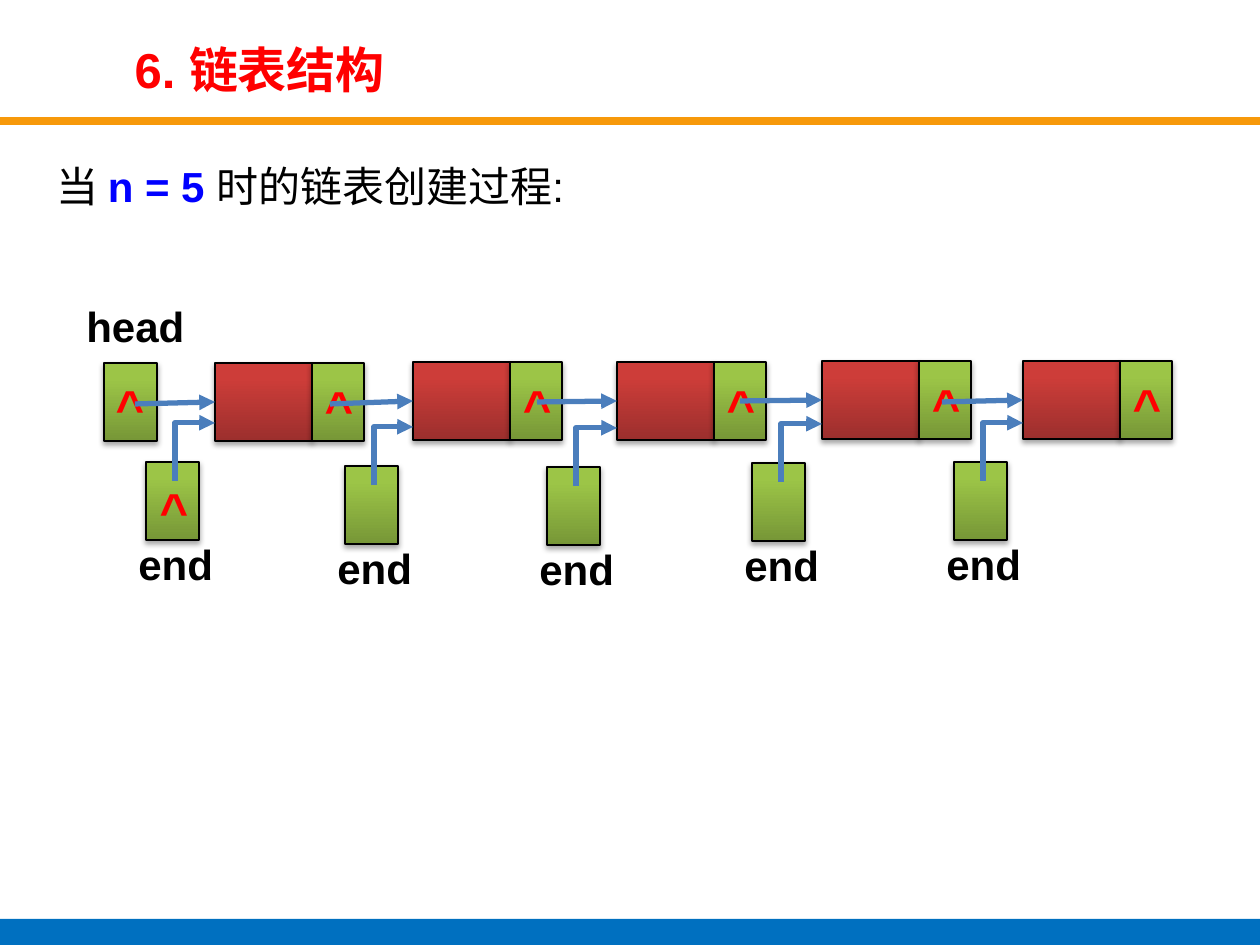
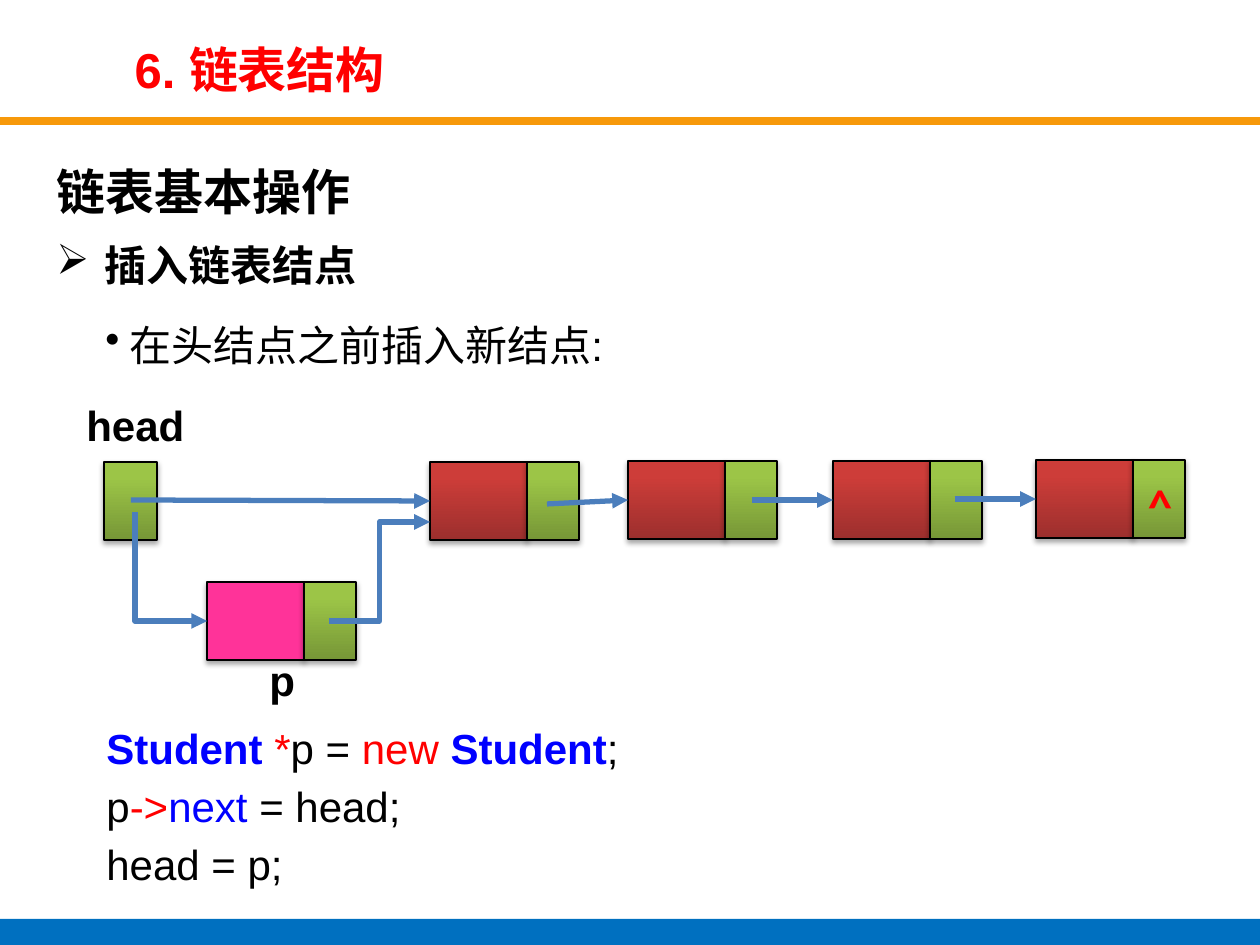
from dataclasses import dataclass

from lxml import etree
from pptx import Presentation
from pptx.dml.color import RGBColor
from pptx.enum.shapes import MSO_CONNECTOR, MSO_SHAPE
from pptx.enum.text import MSO_ANCHOR, MSO_AUTO_SIZE, PP_ALIGN
from pptx.oxml.ns import qn
from pptx.util import Inches, Pt

RECTANGLE = MSO_SHAPE.RECTANGLE
STRAIGHT, ELBOW = MSO_CONNECTOR.STRAIGHT, MSO_CONNECTOR.ELBOW
LEFT, CENTER, JUSTIFY = PP_ALIGN.LEFT, PP_ALIGN.CENTER, PP_ALIGN.JUSTIFY
MIDDLE = MSO_ANCHOR.MIDDLE
FIT_SHAPE = MSO_AUTO_SIZE.SHAPE_TO_FIT_TEXT
LEFT_SIDE = 1
PX = 7257  # EMU in one px, 126 px to the inch


@dataclass(frozen=True)
class Theme:
    font: str = "Arial"
    caret_font: str = "Calibri"
    heading: int = 28
    body: int = 24
    black: RGBColor = RGBColor(0, 0, 0)
    red: RGBColor = RGBColor(255, 0, 0)
    blue: RGBColor = RGBColor(0, 0, 255)
    arrow: RGBColor = RGBColor(0x4B, 0x7E, 0xBC)
    rule: RGBColor = RGBColor(0xF7, 0x99, 0x0A)
    footer: RGBColor = RGBColor(0, 0x70, 0xC0)
    # Cell fills run from the bottom colour to the top colour.
    link: tuple = (RGBColor(0x77, 0x97, 0x37), RGBColor(0x9C, 0xC5, 0x47))
    data: tuple = (RGBColor(0x9C, 0x2F, 0x2D), RGBColor(0xCD, 0x3D, 0x39))
    new_data: tuple = (RGBColor(0xFF, 0x33, 0x99),)


theme = Theme()
DATA_WIDTH, LINK_WIDTH, POINTER_WIDTH, CELL_HEIGHT = 97, 52, 53, 78


def add_cell(page, left, top, width, colors):
    """Draw one shadowed memory cell, with a gradient if two colours are given."""
    cell = page.shapes.add_shape(
        RECTANGLE, left * PX, top * PX, width * PX, CELL_HEIGHT * PX)
    if len(colors) == 2:
        cell.fill.gradient()
        cell.fill.gradient_angle = 90
        for stop, color, position in zip(cell.fill.gradient_stops, colors, (0, 0.8)):
            stop.color.rgb = color
            stop.position = position
    else:
        cell.fill.solid()
        cell.fill.fore_color.rgb = colors[0]
    cell.line.color.rgb = theme.black
    cell.line.width = Pt(1.5)
    cell.shadow.inherit = False
    effects = cell.element.spPr.find(qn("a:effectLst"))
    shadow = etree.SubElement(
        effects, qn("a:outerShdw"), blurRad="40000", dist="23000",
        dir="5400000", rotWithShape="0")
    shade = etree.SubElement(shadow, qn("a:srgbClr"), val=str(theme.black))
    etree.SubElement(shade, qn("a:alpha"), val="35000")
    return cell


def add_node(page, left, top, colors=theme.data):
    """Draw a list node and return its data cell."""
    data_cell = add_cell(page, left, top, DATA_WIDTH, colors)
    add_cell(page, left + DATA_WIDTH, top, LINK_WIDTH, theme.link)
    return data_cell


deck = Presentation()
deck.slide_width, deck.slide_height = Inches(10), Inches(7.5)
layout = deck.slide_layouts[5]
create_page, insert_page = [deck.slides.add_slide(layout) for _ in range(2)]

# Bands go to the layout, behind everything on both pages
for top, height, color in ((117, 8, theme.rule), (919, 26, theme.footer)):
    band = create_page.shapes.add_shape(RECTANGLE, 0, top * PX, deck.slide_width, height * PX)
    band.fill.solid()
    band.fill.fore_color.rgb = color
    band.line.fill.background()
    band.shadow.inherit = False
    layout.shapes.element.insert(2, band.element)

for page in (create_page, insert_page):
    title = page.shapes.title
    title.left, title.top, title.width, title.height = 122 * PX, 34 * PX, 864 * PX, 69 * PX
    title.text_frame.text = "6. 链表结构"
    title.text_frame.vertical_anchor = MIDDLE
    para = title.text_frame.paragraphs[0]
    para.alignment = LEFT
    para.font.name, para.font.size, para.font.bold = theme.font, Pt(theme.heading), True
    para.font.color.rgb = theme.red

# Passages: style is size, alignment, line spacing, before, after, margin, indent, bullet
heading = (theme.heading, JUSTIFY, 1.2, 5, 0, 0, 0, None)
plain = (theme.body, JUSTIFY, 1.2, 5, 0, 0, 0, None)
topic = (theme.body, JUSTIFY, 1.2, 5, 6, 48, -48, "➢")
point = (theme.body, JUSTIFY, 1.2, 5, 0, 73, -24, "•")
code = (theme.body, JUSTIFY, 1.05, 3, 0, 0, 0, None)
passages = [
    (create_page, 44, 144, 80, [
        (plain, [("当 ", theme.black, False), ("n = 5 ", theme.blue, True),
                 ("时的链表创建过程:", theme.black, False)]),
    ]),
    (insert_page, 44, 144, 240, [
        (heading, [("链表基本操作", theme.black, True)]),
        (topic, [("插入链表结点", theme.black, True)]),
        (point, [("在头结点之前插入新结点:", theme.black, False)]),
    ]),
    (insert_page, 94, 714, 180, [
        (code, [("Student ", theme.blue, True), ("*", theme.red, False),
                ("p = ", theme.black, False), ("new ", theme.red, False),
                ("Student", theme.blue, True), (";", theme.black, False)]),
        (code, [("p", theme.black, False), ("->", theme.red, False),
                ("next", theme.blue, False), (" = head;", theme.black, False)]),
        (code, [("head = p;", theme.black, False)]),
    ]),
]
for page, left, top, height, paragraphs in passages:
    box = page.shapes.add_textbox(left * PX, top * PX, (1214 - left) * PX, height * PX)
    frame = box.text_frame
    frame.word_wrap = True
    for index, (style, spans) in enumerate(paragraphs):
        size, alignment, spacing, before, after, margin, indent, bullet = style
        para = frame.add_paragraph() if index else frame.paragraphs[0]
        para.alignment, para.line_spacing = alignment, spacing
        para.space_before, para.space_after = Pt(before if index else 0), Pt(after)
        if bullet:
            properties = para._p.get_or_add_pPr()
            properties.set("marL", str(margin * PX))
            properties.set("indent", str(indent * PX))
            etree.SubElement(properties, qn("a:buChar"), char=bullet)
        para.font.name, para.font.size = theme.font, Pt(size)
        for text, color, bold in spans:
            span = para.add_run()
            span.text = text
            font = para.font if len(spans) == 1 else span.font
            font.bold = bold
            font.color.rgb = color

# Cells, with the labels and arrows that belong to them
word = (theme.font, theme.body, theme.black, LEFT)
caret = (theme.font, theme.heading, theme.red, CENTER)
small_caret = (theme.caret_font, theme.heading, theme.red, CENTER)
labels = []  # page, text, left, top, width, style
links = []   # page, start, data cell pointed to
bends = []   # page, preset, rotation, start, end

head_left = 104
chains = [
    # page, head top, arrow starts, nodes
    (create_page, 363, [(135, 404), (330, 404), (537, 402), (740, 401), (942, 402)],
     [(215, 363), (413, 362), (617, 362), (822, 361), (1023, 361)]),
    (insert_page, 462, [(131, 500), (547, 504), (752, 500), (955, 499)],
     [(430, 462), (628, 461), (833, 461), (1036, 460)]),
]
for page, head_top, starts, nodes in chains:
    add_cell(page, head_left, head_top, POINTER_WIDTH, theme.link)
    labels.append((page, "head", 74, head_top - 69, 125, word))
    for start, (left, top) in zip(starts, nodes):
        links.append((page, start, add_node(page, left, top)))

# Creating: every link starts out null, and "end" moves along the nodes
create_nodes = chains[0][3]
labels.append((create_page, "^", head_left - 1, 370, 54, caret))
for left, top in create_nodes:
    labels.append((create_page, "^", left + DATA_WIDTH, top + 8, 54, caret))
end_cells = [(146, 462), (345, 466), (547, 467), (752, 463), (954, 462)]
for (left, top), (node_left, _) in zip(end_cells, create_nodes):
    add_cell(create_page, left, top, POINTER_WIDTH, theme.link)
    labels.append((create_page, "end", left - 20, top + 70, 101, word))
    bends.append((create_page, "bentConnector3", 90, (left + 29, top + 19), (node_left, top - 39)))
labels.append((create_page, "^", 147, 473, 54, caret))

# Inserting: the new node p goes between head and the first node
add_node(insert_page, 207, 582, theme.new_data)
labels.append((insert_page, "p", 257, 648, 52, word))
labels.append((insert_page, "^", 1135, 469, 50, small_caret))
bends.append((insert_page, "bentConnector3", 0, (329, 621), (430, 522)))
bends.append((insert_page, "bentConnector2", 270, (135, 512), (207, 621)))

for page, text, left, top, width, (name, size, color, alignment) in labels:
    box = page.shapes.add_textbox(left * PX, top * PX, width * PX, 63 * PX)
    box.text_frame.text = text
    box.text_frame.word_wrap = False
    box.text_frame.auto_size = FIT_SHAPE
    para = box.text_frame.paragraphs[0]
    para.alignment = alignment
    para.font.name, para.font.size, para.font.bold = name, Pt(size), True
    para.font.color.rgb = color

arrows = []
for page, (left, top), target in links:
    arrow = page.shapes.add_connector(STRAIGHT, left * PX, top * PX, target.left, top * PX)
    arrow.end_connect(target, LEFT_SIDE)
    arrows.append(arrow)

for page, preset, rotation, (x1, y1), (x2, y2) in bends:
    begin, end = (x1, y1), (x2, y2)
    if rotation:
        # A turned connector is stored about its centre with its sides swapped
        x, y = (x1 + x2) / 2, (y1 + y2) / 2
        across = abs(y2 - y1) / 2
        down = (x2 - x1) / 2 if rotation == 90 else (x1 - x2) / 2
        begin, end = (x + across, y + down), (x - across, y - down)
    arrow = page.shapes.add_connector(ELBOW, *[round(n * PX) for n in (*begin, *end)])
    geometry = arrow.element.spPr.find(qn("a:prstGeom"))
    geometry.set("prst", preset)
    if rotation:
        arrow.element.spPr.find(qn("a:xfrm")).set("rot", str(rotation * 60000))
    if rotation == 90:
        guides = geometry.find(qn("a:avLst"))
        etree.SubElement(guides, qn("a:gd"), name="adj1", fmla="val 100500")
    arrows.append(arrow)

for arrow in arrows:
    arrow.line.color.rgb = theme.arrow
    arrow.line.width = Pt(3)
    properties = arrow.element.spPr
    etree.SubElement(properties.find(qn("a:ln")), qn("a:tailEnd"), type="triangle")
    etree.SubElement(properties, qn("a:effectLst"))

deck.save("out.pptx")
